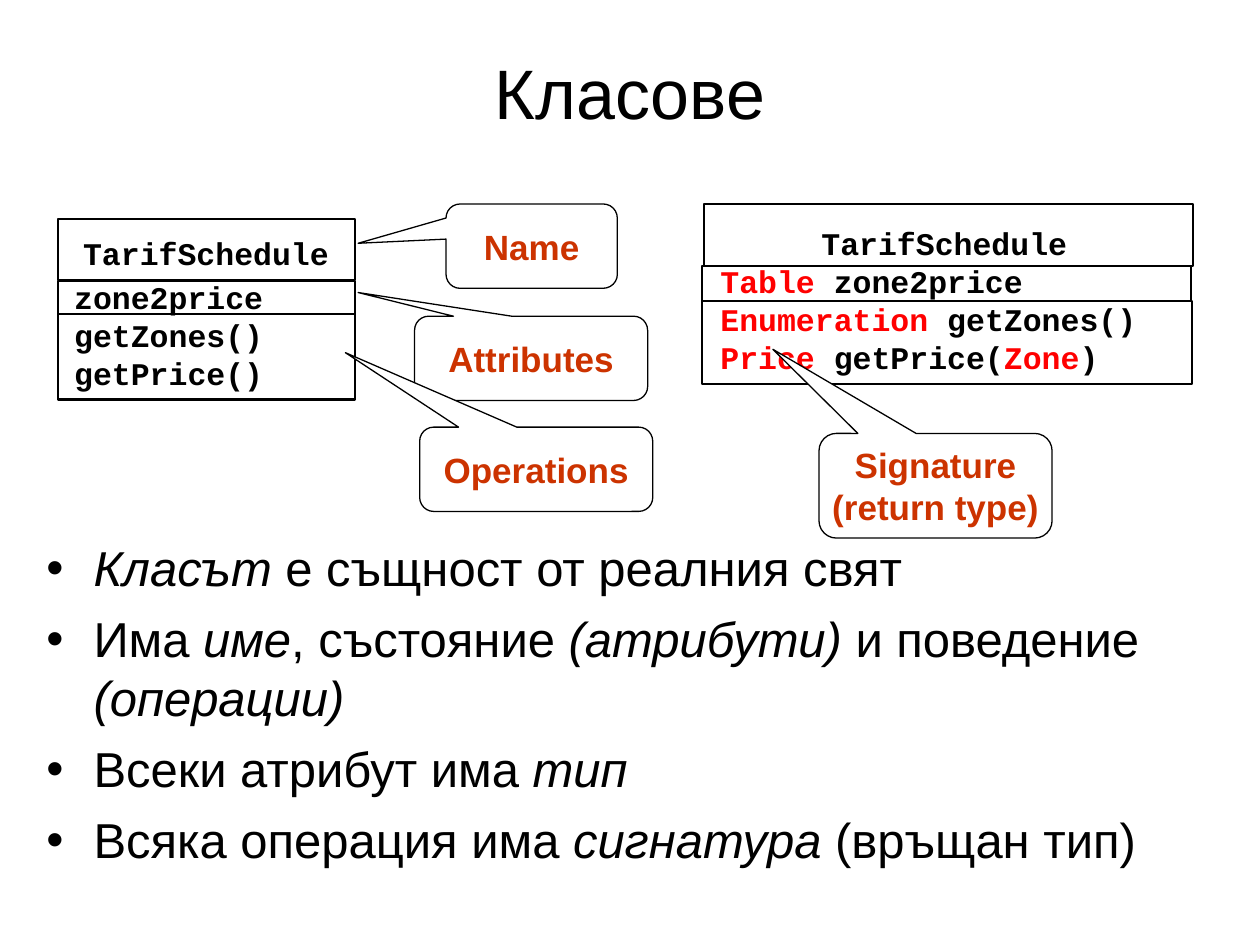
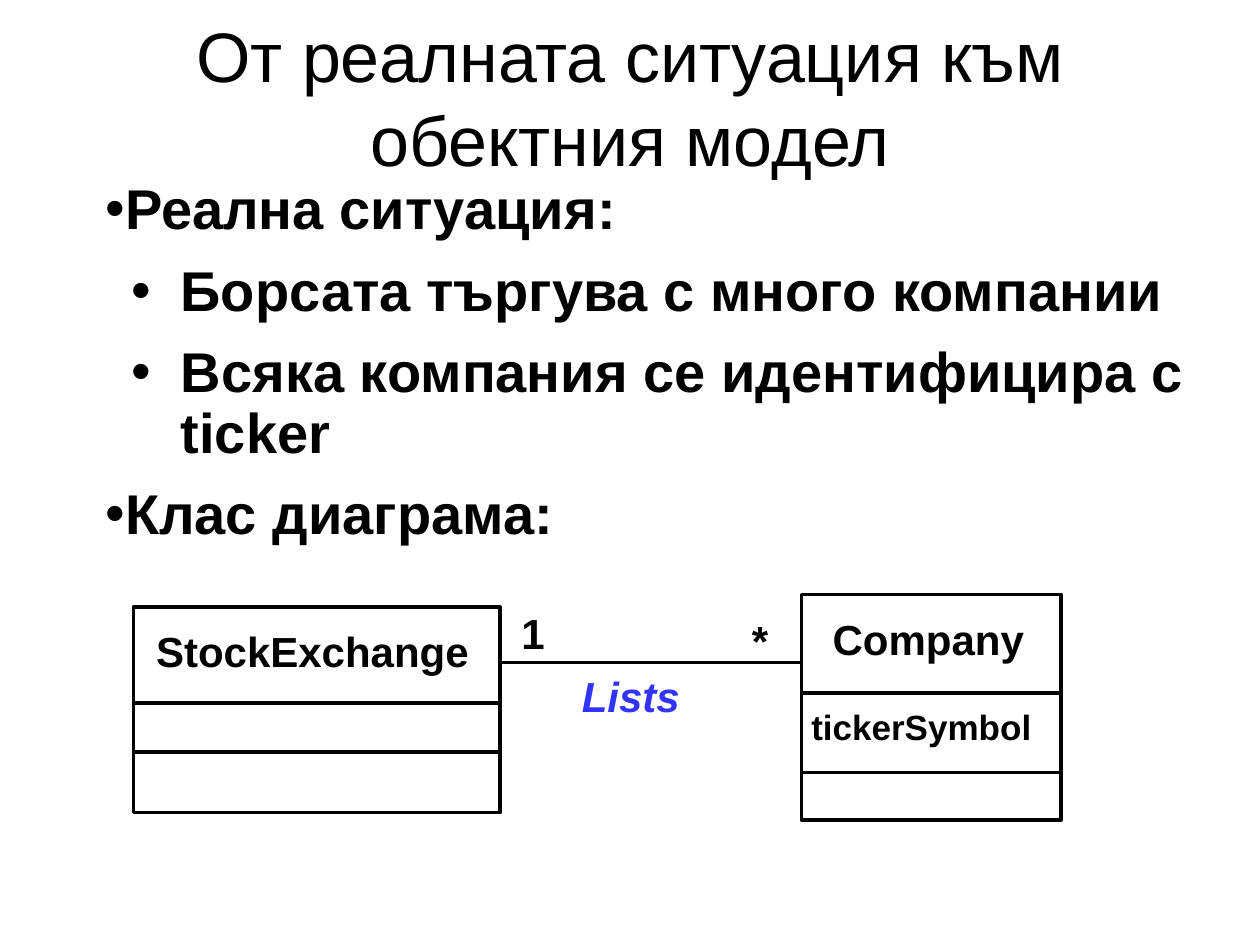
from lxml import etree
from pptx import Presentation
from pptx.dml.color import RGBColor
from pptx.enum.shapes import MSO_CONNECTOR, MSO_SHAPE
from pptx.enum.text import MSO_ANCHOR as ANCHOR, MSO_AUTO_SIZE as AUTO, PP_ALIGN as ALIGN
from pptx.oxml.ns import qn
from pptx.util import Pt

BLACK = RGBColor(0x00, 0x00, 0x00)
WHITE = RGBColor(0xFF, 0xFF, 0xFF)
RED = RGBColor(0xFF, 0x00, 0x00)
RUST = RGBColor(0xCC, 0x33, 0x00)
BLUE = RGBColor(0x33, 0x33, 0xFF)
SANS, MONO = "Arial", "Courier New"


def add_text(s, text, box=None, sp=None, size=24, font=SANS, color=BLACK, bold=False,
             italic=False, accent=None, align=ALIGN.LEFT, anchor=ANCHOR.TOP, wrap=False,
             grow=False, margins=(7.2, 3.6), indents=None, before=0, spacing=None):
    """Write lines of text; parts between underscores are italic, or in the accent colour."""
    if sp is None:
        sp = s.shapes.add_textbox(*map(Pt, box))
    tf = sp.text_frame
    tf.word_wrap, tf.vertical_anchor = wrap, anchor
    tf.auto_size = AUTO.SHAPE_TO_FIT_TEXT if grow else AUTO.NONE
    tf.margin_left = tf.margin_right = Pt(margins[0])
    tf.margin_top = tf.margin_bottom = Pt(margins[1])
    for i, line in enumerate(text.split("\n")):
        p = tf.paragraphs[0] if i == 0 else tf.add_paragraph()
        if indents:
            level, left, first = indents[i]
            pPr = p._p.get_or_add_pPr()
            pPr.set("marL", str(Pt(left)))
            pPr.set("indent", str(Pt(first)))
            etree.SubElement(pPr, qn("a:buFont"), typeface=SANS)
            etree.SubElement(pPr, qn("a:buChar"), char="•")
            p.level = level
        p.alignment = align
        if spacing:
            p.line_spacing = spacing
        if i and before:
            p.space_before = Pt(before)
        for j, part in enumerate(line.split("_")):
            if not part:
                continue
            marked = j % 2 == 1
            r = p.add_run()
            r.text = part
            r.font.name, r.font.size, r.font.bold = font, Pt(size), bold
            r.font.italic = italic or (marked and accent is None)
            r.font.color.rgb = accent if marked and accent else color
    return sp


def add_box(s, box, width, kind=MSO_SHAPE.RECTANGLE, fill=None):
    sp = s.shapes.add_shape(kind, *map(Pt, box))
    sp.shadow.inherit = False
    if fill is None:
        sp.fill.background()
    else:
        sp.fill.solid()
        sp.fill.fore_color.rgb = fill
    sp.line.color.rgb, sp.line.width = BLACK, Pt(width)
    return sp


prs = Presentation()
prs.slide_width, prs.slide_height = Pt(720), Pt(540)

# Slides with their titles
slides = []
for title, height in [("Класове", 61.2), ("От реалната ситуация към обектния модел", 67)]:
    s = prs.slides.add_slide(prs.slide_layouts[6])
    add_text(s, title, (36, 21.6, 648, height), size=40, align=ALIGN.CENTER,
             anchor=ANCHOR.MIDDLE, wrap=True)
    slides.append(s)
s1, s2 = slides

# Slide 1: class boxes, without and with types
classes = [
    ("zone2price\ngetZones()\ngetPrice()", (35.3, 155.5, 172.8, 72), (47.5, 133.9, 140.4, 21.6),
     [(33.1, 125.3, 169.9, 34.6), (33.1, 160.4, 169.9, 18.9), (33.1, 179.3, 169.9, 49)]),
    ("_Table_ zone2price\n_Enumeration_ getZones()\n_Price_ getPrice(_Zone_)",
     (404.6, 146.2, 280, 72), (469.4, 128.2, 140.4, 21.6),
     [(402.5, 116.6, 279.4, 35.3), (401, 151.9, 279.4, 20.2), (401, 172.1, 280, 47.3)]),
]
for members, members_box, name_box, compartments in classes:
    add_text(s1, members, members_box, size=18, font=MONO, bold=True, accent=RED,
             wrap=True, grow=True)
    add_text(s1, "TarifSchedule", name_box, size=18, font=MONO, bold=True,
             align=ALIGN.CENTER, grow=True, margins=(0, 0))
    for box in compartments:
        add_box(s1, box, 1.25)

# Slide 1: callouts, with the offset of each pointer's tip
callouts = [
    ("Name", (254.9, 116.6, 97.9, 48.2), (-1.013, -0.034)),
    ("Attributes", (236.9, 180.7, 133.2, 48.2), (-0.742, -0.781)),
    ("Operations", (239.8, 244.1, 133.2, 48.2), (-0.819, -1.383)),
    ("Signature\n(return type)", (468, 247.7, 133.2, 59.8), (-0.698, -1.304)),
]
for label, box, tip in callouts:
    sp = add_box(s1, box, 0.75, MSO_SHAPE.ROUNDED_RECTANGULAR_CALLOUT, WHITE)
    sp.adjustments[0], sp.adjustments[1] = tip
    add_text(s1, label, sp=sp, size=20, color=RUST, bold=True,
             align=ALIGN.CENTER, anchor=ANCHOR.MIDDLE)

# Slide 1: bullets
add_text(s1, "_Класът_ е същност от реалния свят\n"
             "Има _име_, състояние _(атрибути) _и поведение _(операции)_\n"
             "Всеки атрибут имa _тип_\n"
             "Всяка операция има _сигнатура_ (връщан тип)",
         (19.4, 303.8, 694.8, 215.3), size=28, wrap=True, before=7,
         indents=[(0, 27, -27)] * 4)

# Slide 2: bullets
heading, item = (0, 0, 28), (1, 71, -28)
add_text(s2, "Реална ситуация:\nБорсата търгува с много компании\n"
             "Всяка компания се идентифицира с ticker\nКлас диаграма:",
         (25.2, 100.1, 663.8, 216), size=32, bold=True, wrap=True, grow=True,
         before=12, spacing=0.9, indents=[heading, item, item, heading])

# Slide 2: class outlines, their dividers and the association
exchange = (76.3, 347, 209.5, 117.4)
company = (458, 339.8, 148.3, 128.9)
lines = [(285.8, 458, 378.7)]
for box, dividers in [(exchange, (401.8, 429.8)), (company, (396, 441.4))]:
    add_box(s2, box, 2)
    lines += [(box[0], box[0] + box[2], y) for y in dividers]
for x1, x2, y in lines:
    c = s2.shapes.add_connector(MSO_CONNECTOR.STRAIGHT, Pt(x1), Pt(y), Pt(x2), Pt(y))
    c.line.color.rgb, c.line.width = BLACK, Pt(2)
    etree.SubElement(c._element.spPr, qn("a:effectLst"))

# Slide 2: diagram labels
for label, box, style in [
    ("StockExchange", (82.1, 354.2, 193, 36), {}),
    ("Company", (468.7, 347, 123.8, 36), {}),
    ("tickerSymbol", (456.5, 399.6, 140.4, 31), {"size": 20}),
    ("Lists", (325.4, 379.4, 77, 36), {"color": BLUE, "italic": True}),
    ("*", (422.6, 347.8, 23.8, 36), {}),
    ("1", (290.9, 343.4, 27.4, 36), {}),
]:
    add_text(s2, label, box, bold=True, grow=True, **style)

prs.save("out.pptx")
